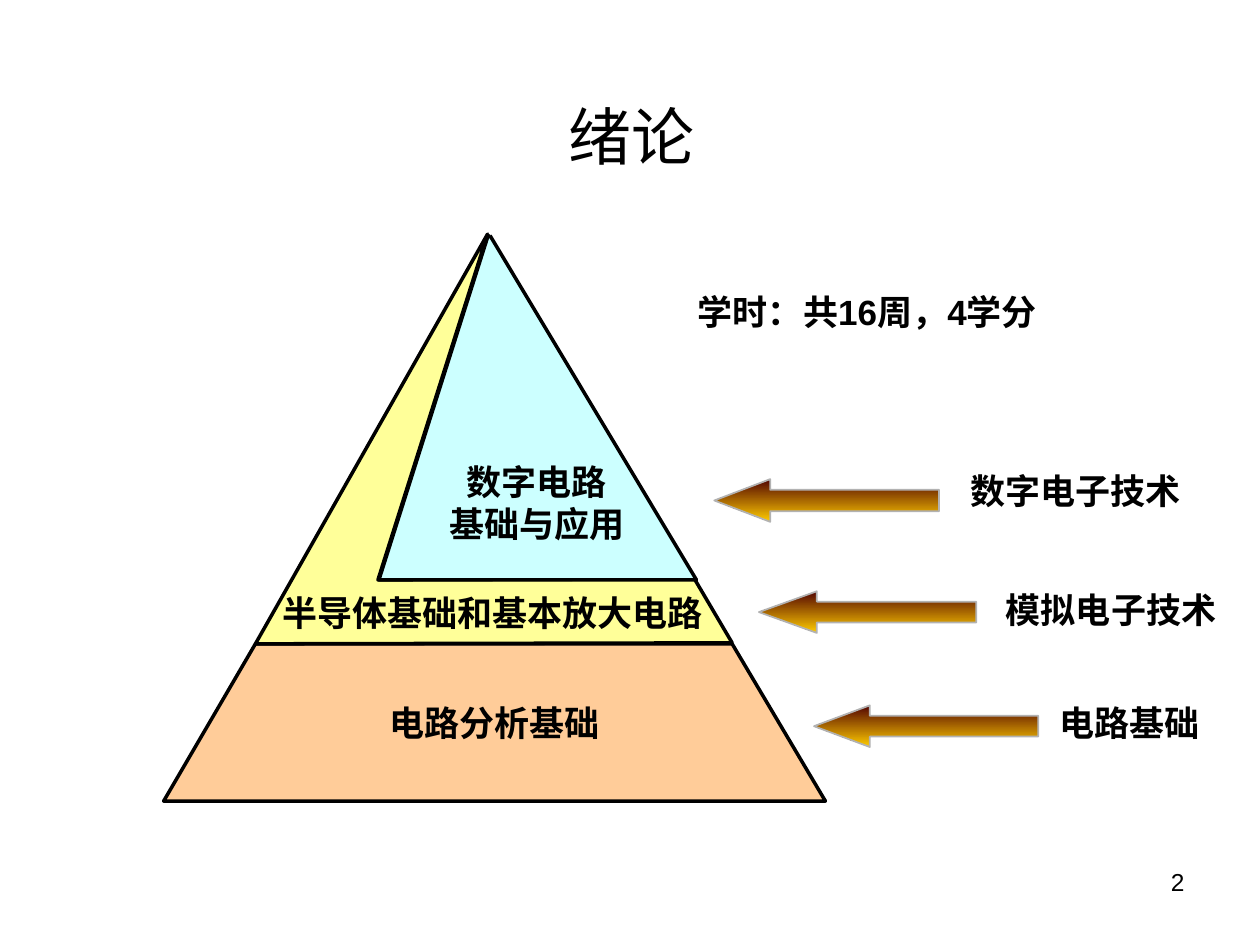
from pptx import Presentation
from pptx.dml.color import RGBColor
from pptx.enum.shapes import MSO_SHAPE
from pptx.enum.text import MSO_ANCHOR, PP_ALIGN
from pptx.util import Cm, Pt

LEFT, CENTER, RIGHT = PP_ALIGN.LEFT, PP_ALIGN.CENTER, PP_ALIGN.RIGHT
TOP, MIDDLE = MSO_ANCHOR.TOP, MSO_ANCHOR.MIDDLE
LEFT_ARROW = MSO_SHAPE.LEFT_ARROW
FONT, BLACK = "Arial", "000000"


def rgb(value):
    """Turn a hex string into a colour."""
    return RGBColor.from_string(value)


def write(tf, lines, size=20, bold=True, align=CENTER, anchor=MIDDLE, wrap=False):
    """Fill a text frame with one paragraph per line."""
    tf.word_wrap = wrap
    tf.vertical_anchor = anchor
    for i, line in enumerate(lines):
        p = tf.paragraphs[0] if i == 0 else tf.add_paragraph()
        p.alignment = align
        r = p.add_run()
        r.text = line
        r.font.name = FONT
        r.font.size = Pt(size)
        r.font.bold = bold
        r.font.color.rgb = rgb(BLACK)


def add_text(s, x, y, w, h, *lines, **style):
    """Place a text box, lengths in centimetres."""
    sp = s.shapes.add_textbox(Cm(x), Cm(y), Cm(w), Cm(h))
    write(sp.text_frame, lines, **style)


def add_layer(s, x, y, points, fill, close=True):
    """Draw one outlined layer of the pyramid from points relative to x, y."""
    pts = [(Cm(x + dx), Cm(y + dy)) for dx, dy in points]
    builder = s.shapes.build_freeform(*pts[0])
    builder.add_line_segments(pts[1:], close=close)
    sp = builder.convert_to_shape()
    sp.shadow.inherit = False
    sp.fill.solid()
    sp.fill.fore_color.rgb = rgb(fill)
    sp.line.color.rgb = rgb(BLACK)
    sp.line.width = Pt(2)
    return sp


def add_pyramid(s, x, y):
    """Draw the three course layers and their labels."""
    base = add_layer(s, x, y, [(0, 11.43), (1.85, 8.26), (11.46, 8.26), (13.34, 11.43)], "FFCC99")
    write(base.text_frame, ["电路分析基础"])
    add_layer(s, x, y, [(11.46, 8.24), (1.85, 8.26), (6.53, 0), (4.32, 6.97), (10.7, 6.95)], "FFFF99")
    add_text(s, x + 1.62, y + 7.21, 10.02, 0.84, "半导体基础和基本放大电路")
    add_layer(s, x, y, [(6.55, 0), (4.34, 6.97), (10.74, 6.97), (6.58, 0.03)], "CCFFFF", close=False)
    add_text(s, x + 5.02, y + 4.25, 5.01, 2.34, "数字电路", "基础与应用")


def add_course(s, x, y, w, h, adj, label, label_dx, label_dy, label_w):
    """Draw a gradient arrow with the course name to its right."""
    sp = s.shapes.add_shape(LEFT_ARROW, Cm(x), Cm(y), Cm(w), Cm(h))
    sp.shadow.inherit = False
    sp.adjustments[0] = 0.5
    sp.adjustments[1] = adj
    sp.fill.gradient()
    sp.fill.gradient_angle = 270
    for stop, (position, color) in zip(sp.fill.gradient_stops, [(0, "520402"), (1, "FFCC00")]):
        stop.position = position
        stop.color.rgb = rgb(color)
    sp.line.color.rgb = rgb("B2B2B2")
    sp.line.width = Pt(1)
    add_text(s, x + label_dx, y + label_dy, label_w, 1.12, label, anchor=TOP)


def main():
    """Build the slide and save it."""
    prs = Presentation()
    prs.slide_width, prs.slide_height = Cm(25.4), Cm(19.05)
    s = prs.slides.add_slide(prs.slide_layouts[6])
    add_text(s, 1.3, 1.73, 22.86, 2, "绪论", size=36, bold=False, wrap=True)
    add_pyramid(s, 3.3, 4.72)
    add_course(s, 14.4, 9.66, 4.53, 0.86, 1.31, "数字电子技术", 4.69, -0.33, 5.2)
    add_course(s, 15.3, 11.92, 4.38, 0.84, 1.39, "模拟电子技术", 4.5, -0.18, 5.2)
    add_course(s, 16.41, 14.22, 4.52, 0.84, 1.34, "电路基础", 4.5, -0.2, 3.73)
    add_text(s, 13.82, 5.74, 8.79, 1.12, "学时：共16周，4学分", align=LEFT, anchor=TOP, wrap=True)
    add_text(s, 18.21, 17.35, 5.92, 1.32, "2", size=14, bold=False, align=RIGHT, anchor=TOP, wrap=True)
    prs.save("out.pptx")


if __name__ == "__main__":
    main()
